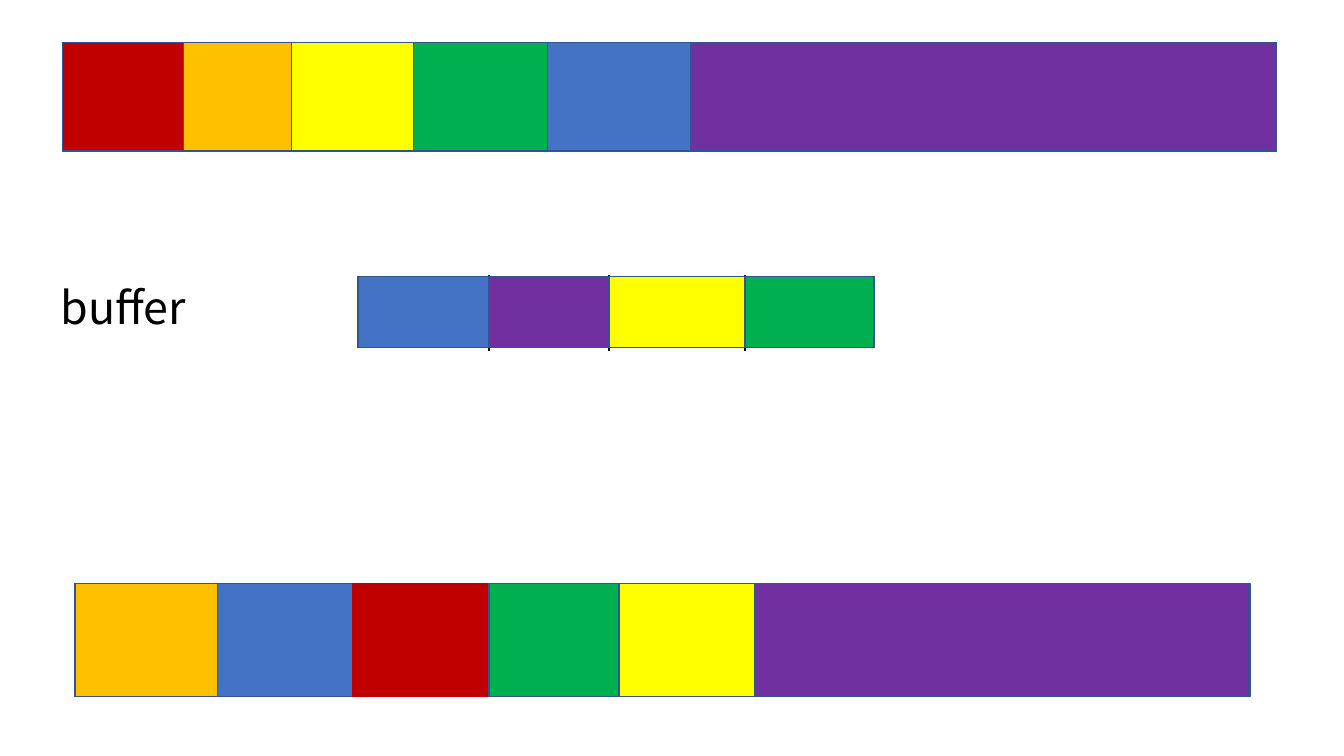
import itertools
from dataclasses import dataclass

import pptx
import pptx.dml.color
import pptx.enum.shapes
import pptx.enum.text
import pptx.oxml.ns
import pptx.util
from lxml import etree

PX = 9144  # 100 px to the inch


@dataclass(frozen=True)
class Theme:
    red: str = "C00000"
    orange: str = "FFC000"
    yellow: str = "FFFF00"
    green: str = "00B050"
    blue: str = "4472C4"
    purple: str = "7030A0"
    white: str = "FFFFFF"
    black: str = "000000"
    outline: str = "325491"
    font: str = "Noto Sans CJK KR"
    label_size: int = 32
    outline_width: float = 1
    divider_width: float = 1.5


THEME = Theme()


def px(n):
    return pptx.util.Emu(n * PX)


def rgb(color):
    return pptx.dml.color.RGBColor.from_string(color)


def add_block(s, left, top, right, height, fill=None, line=THEME.outline):
    sp = s.shapes.add_shape(pptx.enum.shapes.MSO_SHAPE.RECTANGLE,
                            px(left), px(top), px(right - left), px(height))
    sp.shadow.inherit = False
    if fill:
        sp.fill.solid()
        sp.fill.fore_color.rgb = rgb(fill)
    else:
        sp.fill.background()
    sp.line.color.rgb = rgb(line)
    sp.line.width = pptx.util.Pt(THEME.outline_width)


def add_divider(s, x, top, bottom):
    line = s.shapes.add_connector(pptx.enum.shapes.MSO_CONNECTOR.STRAIGHT,
                                  px(x), px(top), px(x), px(bottom))
    line.line.color.rgb = rgb(THEME.black)
    line.line.width = pptx.util.Pt(THEME.divider_width)
    etree.SubElement(line._element.spPr, pptx.oxml.ns.qn("a:effectLst"))


def add_cells(s, edges, top, height, colors, outlines=None):
    """Fill each gap between neighbouring edges with one coloured block."""
    for (left, right), color in zip(itertools.pairwise(edges), colors):
        line = (outlines or {}).get(color, THEME.outline)
        add_block(s, left, top, right, height, color, line)


def add_divided_frame(s, edges, top, height, line_top, line_bottom, fill=None):
    add_block(s, edges[0], top, edges[-1], height, fill)
    for x in edges[1:-1]:
        add_divider(s, x, line_top, line_bottom)


def add_label(s, text, left, top, width, height):
    sp = s.shapes.add_textbox(px(left), px(top), px(width), px(height))
    tf = sp.text_frame
    tf.word_wrap = True
    tf.auto_size = pptx.enum.text.MSO_AUTO_SIZE.SHAPE_TO_FIT_TEXT
    tf.text = text
    r = tf.paragraphs[0].runs[0]
    r.font.name = THEME.font
    r.font.size = pptx.util.Pt(THEME.label_size)
    r.font.color.rgb = rgb(THEME.black)


def main():
    t = THEME
    prs = pptx.Presentation()
    prs.slide_width, prs.slide_height = px(1333), px(750)
    s = prs.slides.add_slide(prs.slide_layouts[6])

    # Buffer row
    buffer_edges = [355, 485, 604, 739, 867]
    add_divided_frame(s, buffer_edges, 274, 71, 273, 348, t.white)
    add_cells(s, buffer_edges, 274, 71, [t.blue, t.purple, t.yellow, t.green])
    add_label(s, "buffer", 50, 273, 222, 64)

    # Top row
    top_edges = [62, 182, 289, 410, 543, 685, 1266]
    add_divided_frame(s, top_edges, 42, 108, 42, 151)
    add_cells(s, top_edges, 42, 108,
              [t.red, t.orange, t.yellow, t.green, t.blue, t.purple])

    # Bottom row, reordered
    bottom_edges = [75, 216, 350, 485, 614, 749, 1239]
    add_block(s, 74, 579, 1240, 112)
    add_cells(s, bottom_edges, 579, 112,
              [t.orange, t.blue, t.red, t.green, t.yellow, t.purple],
              {t.red: t.red})

    prs.save("out.pptx")


if __name__ == "__main__":
    main()
